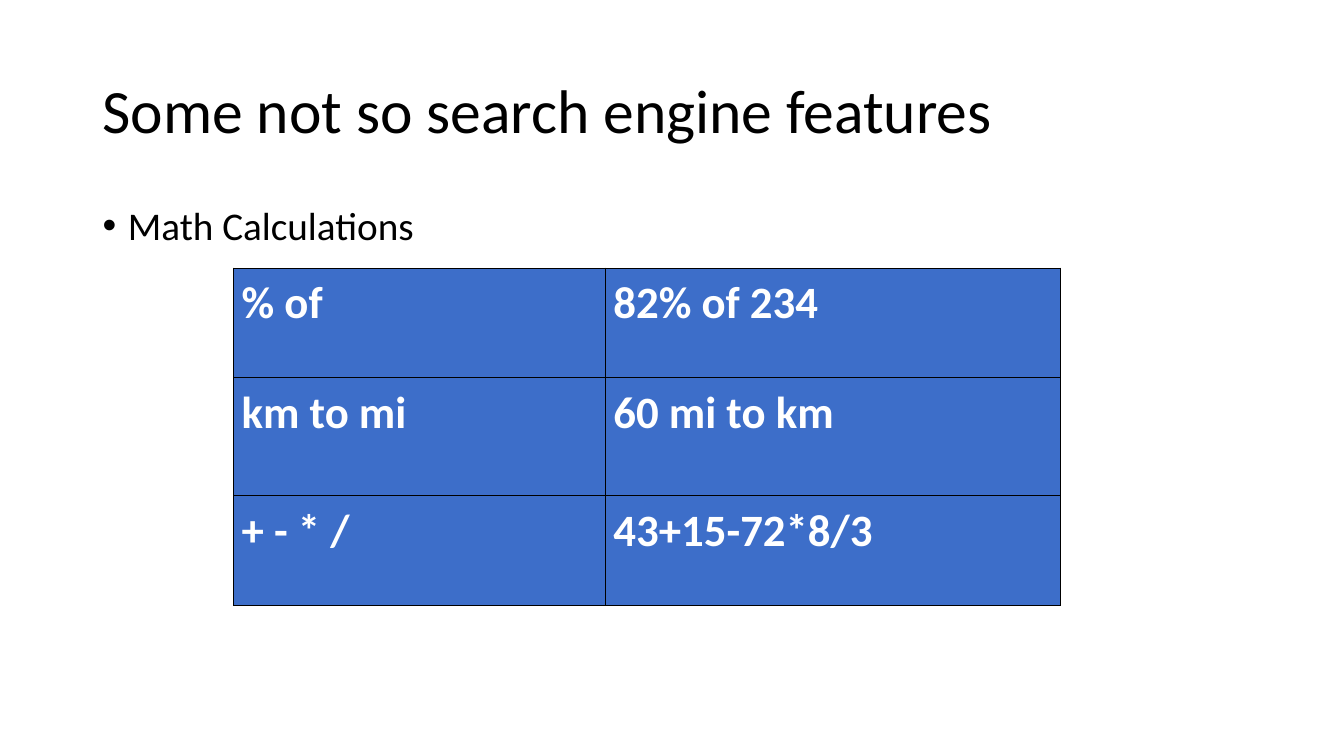
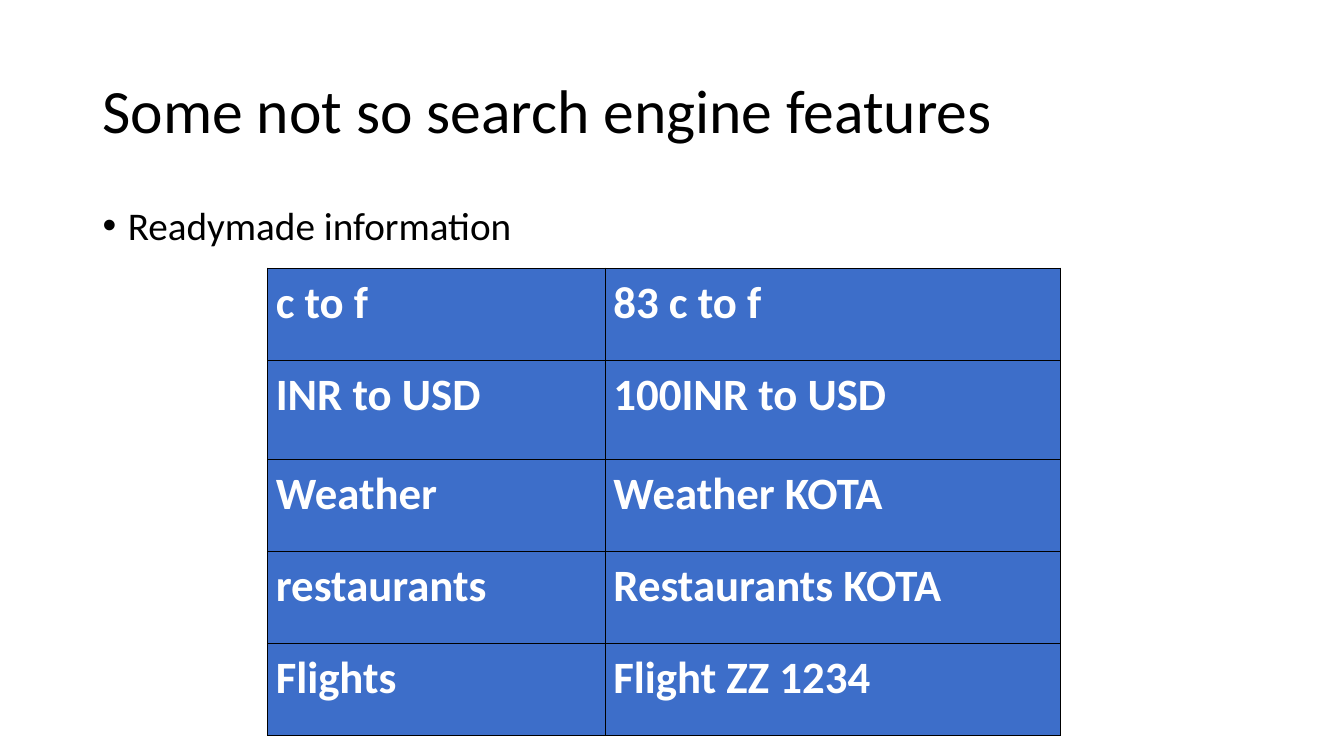
from dataclasses import dataclass

from lxml import etree
from pptx import Presentation
from pptx.dml.color import RGBColor
from pptx.enum.text import MSO_ANCHOR, MSO_AUTO_SIZE, PP_ALIGN
from pptx.oxml.ns import qn
from pptx.util import Cm, Pt

LEFT = PP_ALIGN.LEFT
TOP, MIDDLE = MSO_ANCHOR.TOP, MSO_ANCHOR.MIDDLE
NO_FIT = MSO_AUTO_SIZE.NONE


@dataclass(frozen=True)
class Theme:
    """Colours and type sizes of the deck."""
    font: str = "Calibri"
    ink: str = "000000"
    pale: str = "FFFFFF"
    blue: str = "3D6EC9"
    title: int = 44
    body: int = 28
    cell: int = 32
    rule: int = 1


THEME = Theme()
TITLE = "Some not so search engine features"
HEAD_BOX = (2.33, 1.01, 29.21, 3.68)
BODY_BOX = (2.33, 5.07, 29.21, 12.09)
GRID_TOP, GRID_RIGHT = 6.76, 26.72
QUERY_WIDTH = 11.46

MATH = [
    ("% of", "82% of 234"),
    ("km to mi", "60 mi to km"),
    ("+ - * /", "43+15-72*8/3"),
]
READY = [
    ("c to f", "83 c to f"),
    ("INR to USD", "100INR to USD"),
    ("Weather", "Weather KOTA"),
    ("restaurants", "Restaurants KOTA"),
    ("Flights", "Flight ZZ 1234"),
]


def style(para, size, color, bold=False):
    """Set the font and alignment of a paragraph."""
    para.alignment = LEFT
    font = para.font
    font.name, font.size, font.bold = THEME.font, Pt(size), bold
    font.color.rgb = RGBColor.from_string(color)


def fill_holder(holder, box, text, size, anchor):
    """Place a placeholder in its box and return its paragraph."""
    holder.left, holder.top, holder.width, holder.height = map(Cm, box)
    frame = holder.text_frame
    frame.text = text
    frame.word_wrap = True
    frame.auto_size = NO_FIT
    frame.vertical_anchor = anchor
    para = frame.paragraphs[0]
    para.line_spacing = 0.9
    style(para, size, THEME.ink)
    return para


def add_head(slide, box):
    """Write the shared title."""
    para = fill_holder(slide.shapes.title, box, TITLE, THEME.title, MIDDLE)
    para.space_before = Pt(0)


def add_list(slide, box, text):
    """Write the bullet line."""
    para = fill_holder(slide.placeholders[1], box, text, THEME.body, TOP)
    para.space_before = Pt(10)
    props = para._p.get_or_add_pPr()
    indent = Cm(0.64)
    props.set("marL", str(indent))
    props.set("indent", str(-indent))


def add_rules(cell):
    """Draw thin lines on all four sides of a cell."""
    props = cell._tc.get_or_add_tcPr()
    for place, side in enumerate(("lnL", "lnR", "lnT", "lnB")):
        line = etree.Element(qn(f"a:{side}"), w=str(Pt(THEME.rule)))
        fill = etree.SubElement(line, qn("a:solidFill"))
        etree.SubElement(fill, qn("a:srgbClr"), val=THEME.ink)
        props.insert(place, line)


def fill_cell(cell, text):
    """Write and colour one cell."""
    cell.text = text
    cell.fill.solid()
    cell.fill.fore_color.rgb = RGBColor.from_string(THEME.blue)
    cell.vertical_anchor = TOP
    cell.margin_left = cell.margin_right = Cm(0.2)
    cell.margin_top = cell.margin_bottom = Cm(0.2)
    style(cell.text_frame.paragraphs[0], THEME.cell, THEME.pale, True)
    add_rules(cell)


def add_grid(slide, right, top, widths, heights, rows):
    """Build a table whose right edge is fixed."""
    width, height = sum(widths), sum(heights)
    box = map(Cm, (right - width, top, width, height))
    table = slide.shapes.add_table(len(rows), len(widths), *box).table
    table.first_row = table.horz_banding = False
    for column, size in zip(table.columns, widths):
        column.width = Cm(size)
    for row, size, texts in zip(table.rows, heights, rows):
        row.height = Cm(size)
        for cell, text in zip(row.cells, texts):
            fill_cell(cell, text)


def add_page(deck, topic, rows, name_width, low, tall):
    """Add a slide with a topic and a table whose second row is taller."""
    slide = deck.slides.add_slide(deck.slide_layouts[1])
    add_head(slide, HEAD_BOX)
    add_list(slide, BODY_BOX, topic)
    heights = [tall if index == 1 else low for index in range(len(rows))]
    widths = (name_width, QUERY_WIDTH)
    add_grid(slide, GRID_RIGHT, GRID_TOP, widths, heights, rows)


def main():
    """Build and save the deck."""
    deck = Presentation()
    deck.slide_width, deck.slide_height = Cm(33.87), Cm(19.05)
    add_page(deck, "Math Calculations", MATH, 9.37, 2.76, 2.97)
    add_page(deck, "Readymade information", READY, 8.51, 2.32, 2.49)
    deck.save("out.pptx")


if __name__ == "__main__":
    main()
